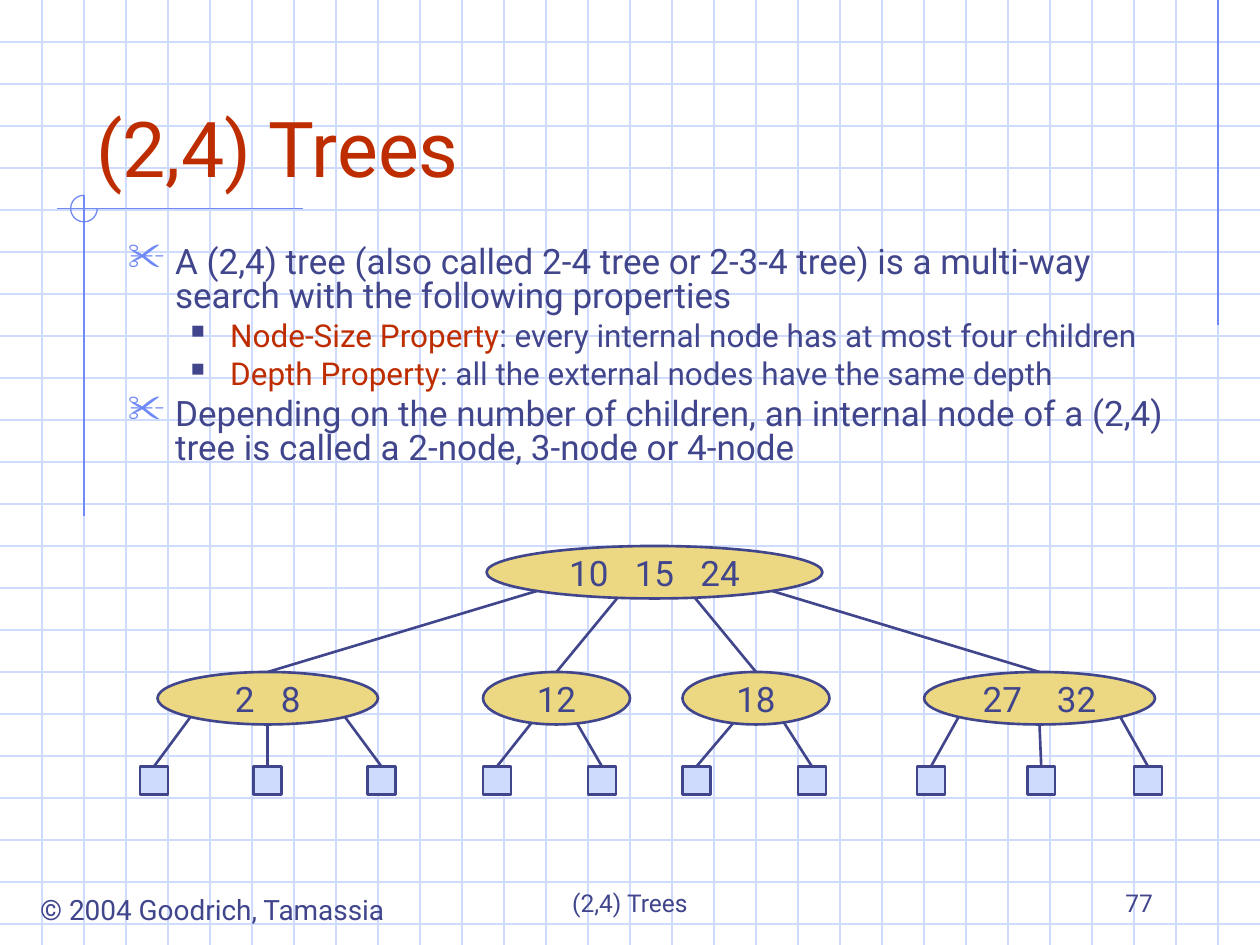
from math import sqrt

from lxml import etree
from pptx import Presentation
from pptx.dml.color import RGBColor
from pptx.enum import shapes as kinds, text as t
from pptx.oxml.ns import qn
from pptx.util import Pt

COLORS = {"ink": "40458C", "accent": "BE2D00", "grid": "CFDBFD",
          "rule": "6F89F7", "node": "ECD882", "leaf": "CFDBFD"}
FONT = "Roboto"
GRID_STEP = 24
NODE_HEIGHT, LEAF_SIZE = 30, 16
LEVEL_GAP, LEAF_GAP = 72, 54  # from the top of a node to the top of its children

ROOT = {"keys": ["10", "15", "24"], "left": 198, "width": 192, "gap": 10}
# "reach" is where the edge leaves the root, "leaves" pairs a leaf's left with
# where its edge leaves the node; both as a share of the half width.
CHILDREN = [
    {"keys": ["2", "8"], "left": 10, "width": 126, "gap": 10, "reach": -0.7,
     "leaves": [(0, -0.7), (65, 0), (130, 0.7)]},
    {"keys": ["12"], "left": 196, "width": 84, "gap": 0, "reach": -0.22,
     "leaves": [(196, -0.34), (256, 0.28)]},
    {"keys": ["18"], "left": 310, "width": 84, "gap": 0, "reach": 0.24,
     "leaves": [(310, -0.31), (376, 0.38)]},
    {"keys": ["27", "32"], "left": 448, "width": 132, "gap": 15, "reach": 0.7,
     "leaves": [(444, -0.7), (507, 0), (568, 0.7)]},
]

PROPERTIES = [
    (0, [("A (2,4) tree (also called 2-4 tree or 2-3-4 tree) is a multi-way "
          "search with the following properties", "ink")]),
    (1, [("Node-Size Property", "accent"),
         (": every internal node has at most four children", "ink")]),
    (1, [("Depth Property", "accent"),
         (": all the external nodes have the same depth", "ink")]),
    (0, [("Depending on the number of children, an internal node of a (2,4) "
          "tree is called a 2-node, 3-node or 4-node", "ink")]),
]
LEVELS = [
    {"size": 20, "left": 27, "hang": 27, "before": 5,
     "mark": "✂", "mark_color": "rule", "mark_percent": 110},
    {"size": 18, "left": 58.5, "hang": 22.5, "before": 4.5,
     "mark": "■", "mark_color": "ink", "mark_percent": 60},
]


def rgb(name):
    return RGBColor.from_string(COLORS[name])


def add_words(paragraph, words, size=20, color="ink", spacing=0):
    run = paragraph.add_run()
    run.text = words
    run.font.size = Pt(size)
    run.font.name = FONT
    run.font.color.rgb = rgb(color)
    if spacing:
        run.font._element.set("spc", str(spacing * 100))


def add_frame(slide, box, wrap=True, anchor=t.MSO_ANCHOR.TOP):
    frame = slide.shapes.add_textbox(*map(Pt, box)).text_frame
    frame.word_wrap = wrap
    frame.vertical_anchor = anchor
    return frame


def add_label(slide, box, words, align=t.PP_ALIGN.LEFT, wrap=True,
              anchor=t.MSO_ANCHOR.BOTTOM, **style):
    paragraph = add_frame(slide, box, wrap, anchor).paragraphs[0]
    paragraph.alignment = align
    add_words(paragraph, words, **style)


def add_line(slide, start, end, color="ink", weight=1.5):
    line = slide.shapes.add_connector(kinds.MSO_CONNECTOR.STRAIGHT,
                                      *map(Pt, (*start, *end)))
    line.line.color.rgb = rgb(color)
    line.line.width = Pt(weight)
    etree.SubElement(line._element.spPr, qn("a:effectLst"))
    return line


def add_solid(slide, kind, box, fill):
    solid = slide.shapes.add_shape(kind, *map(Pt, box))
    solid.shadow.inherit = False
    solid.fill.solid()
    solid.fill.fore_color.rgb = rgb(fill)
    solid.line.color.rgb = rgb("ink")
    solid.line.width = Pt(1.5)
    return solid


def add_grid(slide, box):
    left, top, width, height = box
    for y in range(top + GRID_STEP, top + height, GRID_STEP):
        add_line(slide, (left, y), (left + width, y), "grid", 0.75)
    for x in range(left + GRID_STEP, left + width, GRID_STEP):
        add_line(slide, (x, top), (x, top + height), "grid", 0.75)


def add_title_rules(slide, box):
    """Crossed rules with a three-quarter circle around their crossing."""
    left, top, width, height = box
    radius = 7.6
    x, y = left + 15.5, top + radius
    add_line(slide, (left + width, y), (left, y), "rule", 0.75)
    add_line(slide, (x, top), (x, top + height), "rule", 0.75)
    arc = slide.shapes.add_shape(
        kinds.MSO_SHAPE.ARC, Pt(x - radius), Pt(top), Pt(2 * radius), Pt(2 * radius))
    arc.adjustments[0], arc.adjustments[1] = 0, 162
    arc.shadow.inherit = False
    arc.fill.background()
    arc.line.color.rgb = rgb("rule")
    arc.line.width = Pt(0.75)


def add_bullet(paragraph, level):
    props = paragraph._p.get_or_add_pPr()
    props.set("marL", str(Pt(level["left"])))
    props.set("indent", str(-Pt(level["hang"])))
    mark_color = etree.SubElement(props, qn("a:buClr"))
    etree.SubElement(mark_color, qn("a:srgbClr"), val=COLORS[level["mark_color"]])
    etree.SubElement(props, qn("a:buSzPct"), val=str(level["mark_percent"] * 1000))
    etree.SubElement(props, qn("a:buChar"), char=level["mark"])


def add_properties(slide, box):
    frame = add_frame(slide, box)
    for index, (depth, parts) in enumerate(PROPERTIES):
        paragraph = frame.add_paragraph() if index else frame.paragraphs[0]
        level = LEVELS[depth]
        add_bullet(paragraph, level)
        paragraph.level = depth
        paragraph.line_spacing = 0.8
        paragraph.space_before = Pt(level["before"] if index else 0)
        for words, color in parts:
            add_words(paragraph, words, level["size"], color)


def add_node(slide, box, node):
    oval = add_solid(slide, kinds.MSO_SHAPE.OVAL, box, "node")
    frame = oval.text_frame
    frame.word_wrap = False
    frame.vertical_anchor = t.MSO_ANCHOR.MIDDLE
    paragraph = frame.paragraphs[0]
    paragraph.alignment = t.PP_ALIGN.CENTER
    for index, key in enumerate(node["keys"]):
        if index:
            add_words(paragraph, " ", spacing=node["gap"])
        add_words(paragraph, key)
    return oval


def add_edge(slide, parent_box, reach, child):
    """Line from the lower rim of the parent's oval to the child's top."""
    left, top, width, height = parent_box
    start = (left + width / 2 * (1 + reach),
             top + height / 2 * (1 + sqrt(1 - reach ** 2)))
    add_line(slide, start, start).end_connect(child, 0)


def add_tree(slide, left, top):
    root_box = (left + ROOT["left"], top, ROOT["width"], NODE_HEIGHT)
    add_node(slide, root_box, ROOT)
    child_top = top + LEVEL_GAP
    for child in CHILDREN:
        child_box = (left + child["left"], child_top, child["width"], NODE_HEIGHT)
        oval = add_node(slide, child_box, child)
        add_edge(slide, root_box, child["reach"], oval)
        for leaf_left, reach in child["leaves"]:
            leaf_box = (left + leaf_left, child_top + LEAF_GAP, LEAF_SIZE, LEAF_SIZE)
            leaf = add_solid(slide, kinds.MSO_SHAPE.RECTANGLE, leaf_box, "leaf")
            add_edge(slide, child_box, reach, leaf)


def add_footer(slide, left, top):
    add_label(slide, (left, top + 14.4, 219.6, 26.6), "© 2004 Goodrich, Tamassia",
              t.PP_ALIGN.CENTER, wrap=False, anchor=t.MSO_ANCHOR.TOP, size=16)
    add_label(slide, (left + 234.5, top, 228, 36), "(2,4) Trees",
              t.PP_ALIGN.CENTER, size=14)
    add_label(slide, (left + 504.5, top, 150, 36), "77", t.PP_ALIGN.RIGHT, size=14)


def main():
    deck = Presentation()
    deck.slide_width, deck.slide_height = Pt(720), Pt(540)
    slide = deck.slides.add_slide(deck.slide_layouts[6])
    add_grid(slide, (0, 0, 720, 540))
    add_line(slide, (696, 0), (696, 186), "rule", 0.75)
    add_title_rules(slide, (32.5, 111.6, 140.5, 183))
    add_footer(slide, 11.5, 492)
    add_label(slide, (48, 24, 612, 90), "(2,4) Trees", size=44, color="accent")
    add_properties(slide, (66, 138, 612, 156))
    add_tree(slide, 80, 312)
    deck.save("out.pptx")


if __name__ == "__main__":
    main()
